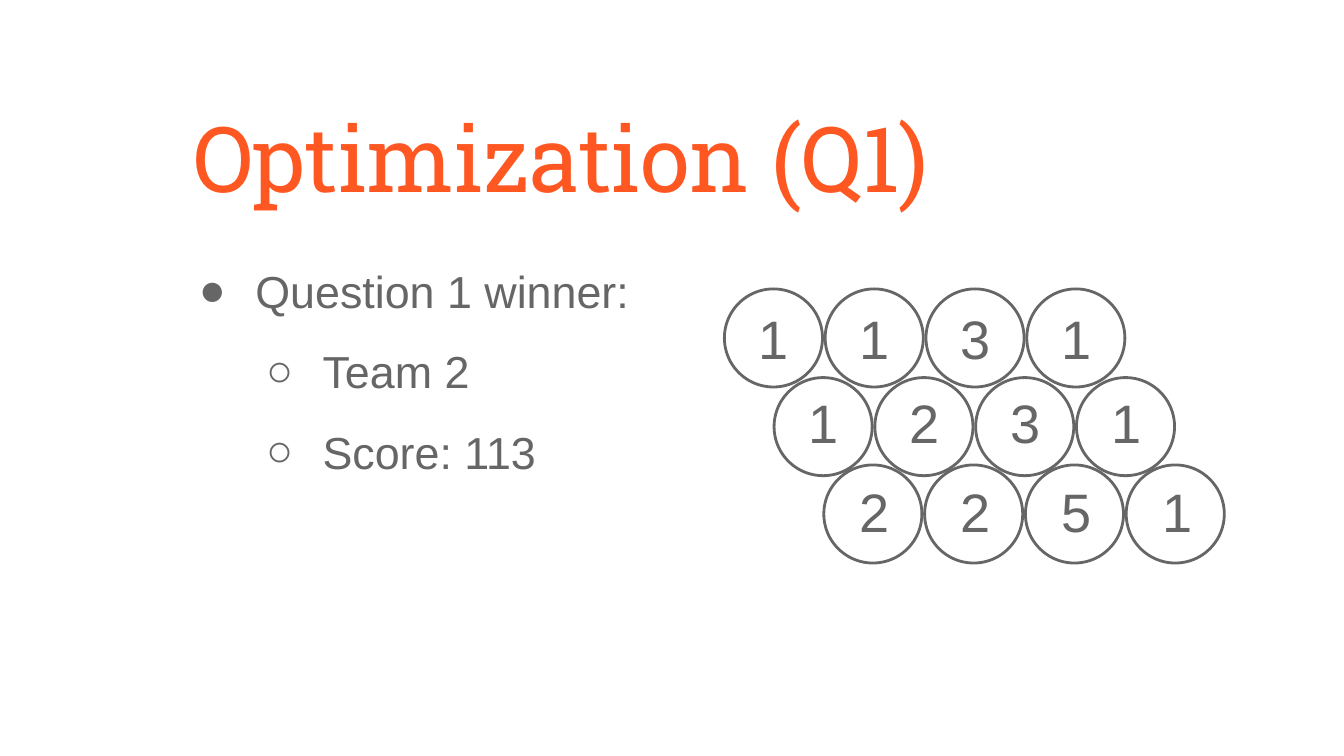
from dataclasses import dataclass

from lxml.etree import SubElement
from pptx import Presentation
from pptx.dml.color import RGBColor
from pptx.enum.shapes import MSO_SHAPE
from pptx.enum.text import MSO_ANCHOR, MSO_AUTO_SIZE, PP_ALIGN
from pptx.oxml.ns import qn
from pptx.util import Inches, Pt

COLORS = {"title": "FF5722", "gray": "666666", "background": "FFFFFF"}
DIAMETER = 0.73
COLUMN_STEP = 0.75
LABEL_WIDTH, LABEL_HEIGHT = 0.46, 0.61


@dataclass
class ListItem:
    text: str
    level: int
    bullet: str
    before: float = 0
    after: float = 0


@dataclass
class CircleRow:
    left: float
    top: float
    label_left: float
    label_top: float
    values: str


ITEMS = [
    ListItem("Question 1 winner:", 0, "●"),
    ListItem("Team 2", 1, "○", before=10),
    ListItem("Score: 113", 1, "○", before=10, after=10),
]
ROWS = [
    CircleRow(5.39, 2.15, 5.53, 2.17, "1131"),
    CircleRow(5.76, 2.81, 5.90, 2.80, "1231"),
    CircleRow(6.13, 3.46, 6.28, 3.46, "2251"),
]


def color(name: str) -> RGBColor:
    return RGBColor.from_string(COLORS[name])


def place(shape, left: float, top: float, width: float, height: float) -> None:
    shape.left, shape.top = Inches(left), Inches(top)
    shape.width, shape.height = Inches(width), Inches(height)


def format_frame(text_frame, anchor=MSO_ANCHOR.TOP) -> None:
    text_frame.word_wrap = True
    text_frame.auto_size = MSO_AUTO_SIZE.NONE
    text_frame.vertical_anchor = anchor
    text_frame.margin_left = text_frame.margin_right = Inches(0.1)
    text_frame.margin_top = text_frame.margin_bottom = Inches(0.1)


def format_runs(paragraph, size: float, font: str, color_name: str) -> None:
    for run in paragraph.runs:
        run.font.size = Pt(size)
        run.font.name = font
        run.font.color.rgb = color(color_name)


def add_bullet(paragraph, item: ListItem) -> None:
    properties = paragraph._p.get_or_add_pPr()
    properties.set("marL", str(Inches(0.5 * (item.level + 1))))
    properties.set("indent", str(Inches(-0.42)))
    bullet_color = SubElement(properties, qn("a:buClr"))
    SubElement(bullet_color, qn("a:srgbClr"), val=COLORS["gray"])
    SubElement(properties, qn("a:buFont"), typeface="Arial")
    SubElement(properties, qn("a:buChar"), char=item.bullet)


def add_list_item(paragraph, item: ListItem) -> None:
    paragraph.text = item.text
    paragraph.level = item.level
    paragraph.alignment = PP_ALIGN.LEFT
    paragraph.line_spacing = 1.15
    paragraph.space_before = Pt(item.before)
    paragraph.space_after = Pt(item.after)
    add_bullet(paragraph, item)
    format_runs(paragraph, 24, "Arial", "gray")


def add_circle(slide, left: float, top: float) -> None:
    circle = slide.shapes.add_shape(
        MSO_SHAPE.OVAL, Inches(left), Inches(top), Inches(DIAMETER), Inches(DIAMETER))
    circle.shadow.inherit = False
    circle.fill.background()
    circle.line.color.rgb = color("gray")
    circle.line.width = Pt(1.5)


def add_label(slide, left: float, top: float, text: str) -> None:
    label = slide.shapes.add_textbox(
        Inches(left), Inches(top), Inches(LABEL_WIDTH), Inches(LABEL_HEIGHT))
    format_frame(label.text_frame)
    label.text_frame.text = text
    paragraph = label.text_frame.paragraphs[0]
    paragraph.alignment = PP_ALIGN.CENTER
    format_runs(paragraph, 29, "Arial", "gray")


def main() -> None:
    # Widescreen slide, 16:9
    presentation = Presentation()
    presentation.slide_width = Inches(10)
    presentation.slide_height = Inches(10 * 9 / 16)
    slide = presentation.slides.add_slide(presentation.slide_layouts[1])
    slide.background.fill.solid()
    slide.background.fill.fore_color.rgb = color("background")

    # Title
    title = slide.shapes.title
    place(title, 0.34, 0.65, 7.67, 1.02)
    format_frame(title.text_frame, MSO_ANCHOR.BOTTOM)
    title.text_frame.text = "Optimization (Q1)"
    heading = title.text_frame.paragraphs[0]
    heading.alignment = PP_ALIGN.CENTER
    format_runs(heading, 48.6, "Roboto Slab", "title")

    # Winner list
    body = slide.placeholders[1]
    place(body, 1.3, 1.8, 4.32, 3.15)
    text_frame = body.text_frame
    format_frame(text_frame)
    for index, item in enumerate(ITEMS):
        paragraph = text_frame.add_paragraph() if index else text_frame.paragraphs[0]
        add_list_item(paragraph, item)

    # Staggered rows of circles, then their numbers
    for row in ROWS:
        for column, value in enumerate(row.values):
            offset = column * COLUMN_STEP
            add_circle(slide, row.left + offset, row.top)
            add_label(slide, row.label_left + offset, row.label_top, value)

    presentation.save("out.pptx")


if __name__ == "__main__":
    main()
